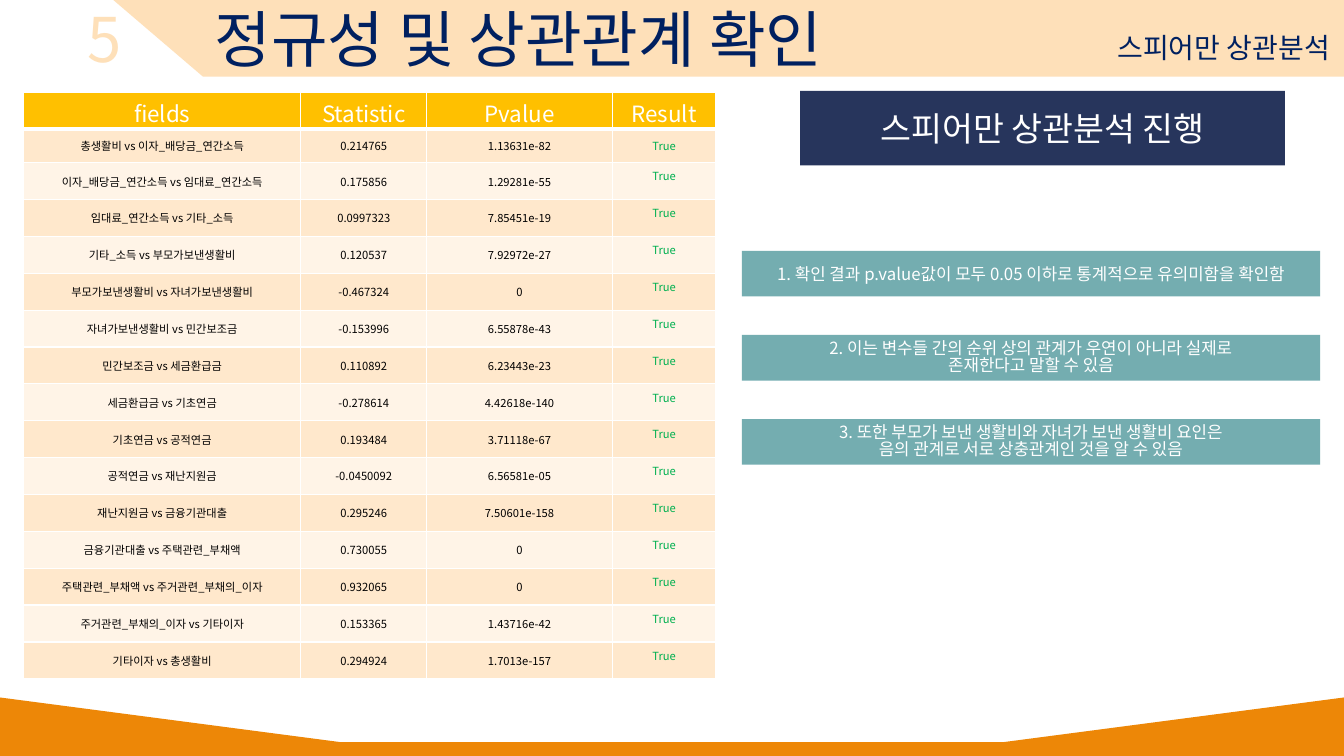
from dataclasses import dataclass

from lxml import etree
from pptx import Presentation
from pptx.dml.color import RGBColor
from pptx.enum.shapes import MSO_CONNECTOR, MSO_SHAPE
from pptx.enum.text import MSO_ANCHOR, PP_ALIGN
from pptx.oxml.ns import qn
from pptx.util import Pt

CENTER = PP_ALIGN.CENTER
MIDDLE, TOP = MSO_ANCHOR.MIDDLE, MSO_ANCHOR.TOP
RECTANGLE, TRIANGLE, TRAPEZOID = (
    MSO_SHAPE.RECTANGLE, MSO_SHAPE.ISOSCELES_TRIANGLE, MSO_SHAPE.TRAPEZOID)
STRAIGHT = MSO_CONNECTOR.STRAIGHT

FONT = "Noto Sans CJK KR"
WHITE, BLACK, NAVY, GREEN = "FFFFFF", "000000", "002060", "00B050"
PEACH, ORANGE, AMBER, TEAL, INDIGO = "FEE0B9", "ED8707", "FFC000", "3A8B8F", "27355C"
BANDS = ("FFE8CC", "FFF4E7")

HEADERS = ("fields", "Statistic", "Pvalue", "Result")
COLUMN_WIDTHS = (198, 90, 132.5, 74.1)
HEADER_HEIGHT, FIRST_HEIGHT, ROW_HEIGHT = 26.2, 24.3, 26.35
CORRELATIONS = (
    ("총생활비 vs 이자_배당금_연간소득", "0.214765", "1.13631e-82"),
    ("이자_배당금_연간소득 vs 임대료_연간소득", "0.175856", "1.29281e-55"),
    ("임대료_연간소득 vs 기타_소득", "0.0997323", "7.85451e-19"),
    ("기타_소득 vs 부모가보낸생활비", "0.120537", "7.92972e-27"),
    ("부모가보낸생활비 vs 자녀가보낸생활비", "-0.467324", "0"),
    ("자녀가보낸생활비 vs 민간보조금", "-0.153996", "6.55878e-43"),
    ("민간보조금 vs 세금환급금", "0.110892", "6.23443e-23"),
    ("세금환급금 vs 기초연금", "-0.278614", "4.42618e-140"),
    ("기초연금 vs 공적연금", "0.193484", "3.71118e-67"),
    ("공적연금 vs 재난지원금", "-0.0450092", "6.56581e-05"),
    ("재난지원금 vs 금융기관대출", "0.295246", "7.50601e-158"),
    ("금융기관대출 vs 주택관련_부채액", "0.730055", "0"),
    ("주택관련_부채액 vs 주거관련_부채의_이자", "0.932065", "0"),
    ("주거관련_부채의_이자 vs 기타이자", "0.153365", "1.43716e-42"),
    ("기타이자 vs 총생활비", "0.294924", "1.7013e-157"),
)
FINDINGS = (
    "1. 확인 결과 p.value값이 모두 0.05 이하로 통계적으로 유의미함을 확인함",
    "2. 이는 변수들 간의 순위 상의 관계가 우연이 아니라 실제로\n존재한다고 말할 수 있음",
    "3. 또한 부모가 보낸 생활비와 자녀가 보낸 생활비 요인은\n음의 관계로 서로 상충관계인 것을 알 수 있음",
)


@dataclass(frozen=True)
class Box:
    left: float
    top: float
    width: float
    height: float

    def emu(self) -> tuple:
        return Pt(self.left), Pt(self.top), Pt(self.width), Pt(self.height)


@dataclass(frozen=True)
class Panel:
    box: Box
    fill: str
    kind: int = RECTANGLE
    adjustment: float | None = None
    rotation: float = 0
    opacity: int = 100
    text: str = ""
    size: float = 12


def rgb(value: str) -> RGBColor:
    return RGBColor.from_string(value)


def write(frame, text: str, size: float, color: str) -> None:
    """Fill a text frame with centred text in the slide's font."""
    frame.text = text
    for paragraph in frame.paragraphs:
        paragraph.alignment = CENTER
        for run in paragraph.runs:
            run.font.size = Pt(size)
            run.font.color.rgb = rgb(color)
            run.font.name = FONT
            etree.SubElement(run.font._element, qn("a:ea"), typeface=FONT)


def add_panel(slide, panel: Panel) -> None:
    shape = slide.shapes.add_shape(panel.kind, *panel.box.emu())
    shape.shadow.inherit = False
    shape.rotation = panel.rotation
    shape.line.fill.background()
    shape.fill.solid()
    shape.fill.fore_color.rgb = rgb(panel.fill)
    if panel.adjustment is not None:
        shape.adjustments[0] = panel.adjustment
    if panel.opacity < 100:
        color = shape._element.spPr.find(qn("a:solidFill"))[0]
        etree.SubElement(color, qn("a:alpha"), val=str(panel.opacity * 1000))
    if panel.text:
        frame = shape.text_frame
        frame.word_wrap = True
        frame.vertical_anchor = MIDDLE
        write(frame, panel.text, panel.size, WHITE)
        if len(frame.paragraphs) > 1:
            for paragraph in frame.paragraphs:
                paragraph.line_spacing = 0.82


def add_label(slide, box: Box, text: str, size: float, color: str) -> None:
    frame = slide.shapes.add_textbox(*box.emu()).text_frame
    frame.word_wrap = False
    frame.vertical_anchor = MIDDLE
    write(frame, text, size, color)


def add_base_line(slide) -> None:
    line = slide.shapes.add_connector(STRAIGHT, Pt(0), Pt(535), Pt(960), Pt(535))
    line.line.color.rgb = rgb(ORANGE)
    line.line.width = Pt(10)
    etree.SubElement(line._element.spPr, qn("a:effectLst"))


def set_title(slide, box: Box, text: str) -> None:
    title = slide.shapes.title
    title.left, title.top, title.width, title.height = box.emu()
    title.text_frame.word_wrap = False
    title.text_frame.vertical_anchor = MIDDLE
    write(title.text_frame, text, 44, NAVY)
    slide.shapes._spTree.append(title._element)  # in front of the header band


def border_cell(cell, top: float, bottom: float) -> None:
    properties = cell._tc.get_or_add_tcPr()
    sides = (("lnL", 1), ("lnR", 1), ("lnT", top), ("lnB", bottom))
    for index, (side, width) in enumerate(sides):
        line = etree.Element(qn(f"a:{side}"), w=str(Pt(width)))
        fill = etree.SubElement(line, qn("a:solidFill"))
        etree.SubElement(fill, qn("a:srgbClr"), val=WHITE)
        properties.insert(index, line)


def add_correlation_table(slide) -> None:
    rows = [HEADERS] + [(*values, "True") for values in CORRELATIONS]
    heights = [HEADER_HEIGHT, FIRST_HEIGHT] + [ROW_HEIGHT] * (len(rows) - 2)
    box = Box(16.9, 65.7, sum(COLUMN_WIDTHS), sum(heights))
    table = slide.shapes.add_table(len(rows), len(HEADERS), *box.emu()).table
    for column, width in zip(table.columns, COLUMN_WIDTHS):
        column.width = Pt(width)
    for r, (values, height) in enumerate(zip(rows, heights)):
        table.rows[r].height = Pt(height)
        for c, value in enumerate(values):
            cell = table.cell(r, c)
            is_result = c == len(HEADERS) - 1
            cell.fill.solid()
            cell.fill.fore_color.rgb = rgb(BANDS[(r - 1) % 2] if r else AMBER)
            cell.vertical_anchor = TOP if is_result and r > 1 else MIDDLE
            if r == 0:
                cell.margin_top, cell.margin_bottom = Pt(3), Pt(0)
                write(cell.text_frame, value, 16, WHITE)
            else:
                write(cell.text_frame, value, 8, GREEN if is_result else BLACK)
            border_cell(cell, 3 if r == 1 else 1, 3 if r == 0 else 1)


def main() -> None:
    presentation = Presentation()
    presentation.slide_width, presentation.slide_height = Pt(960), Pt(540)
    slide = presentation.slides.add_slide(presentation.slide_layouts[5])

    add_panel(slide, Panel(Box(54, -23, 1003.7, 77.8), PEACH, TRAPEZOID, 1.17, 180))
    add_base_line(slide)
    for left, apex in ((0, 0), (713, 1)):
        add_panel(slide, Panel(Box(left, 498.2, 247, 32.4), ORANGE, TRIANGLE, apex))
    set_title(slide, Box(135.4, -2.9, 470.2, 60.5), "정규성 및 상관관계 확인")
    add_label(slide, Box(54, -2.9, 41, 60.5), "5", 44, PEACH)

    add_correlation_table(slide)
    for index, finding in enumerate(FINDINGS):
        box = Box(530, 179.2 + 60.1 * index, 413, 32.6)
        add_panel(slide, Panel(box, TEAL, opacity=70, text=finding))
    add_label(slide, Box(788.4, 18, 171.4, 31.7), "스피어만 상관분석", 20, NAVY)
    add_panel(slide, Panel(Box(571.5, 64.9, 346.3, 53.2), INDIGO,
                           text="스피어만 상관분석 진행", size=24))
    presentation.save("out.pptx")


if __name__ == "__main__":
    main()
